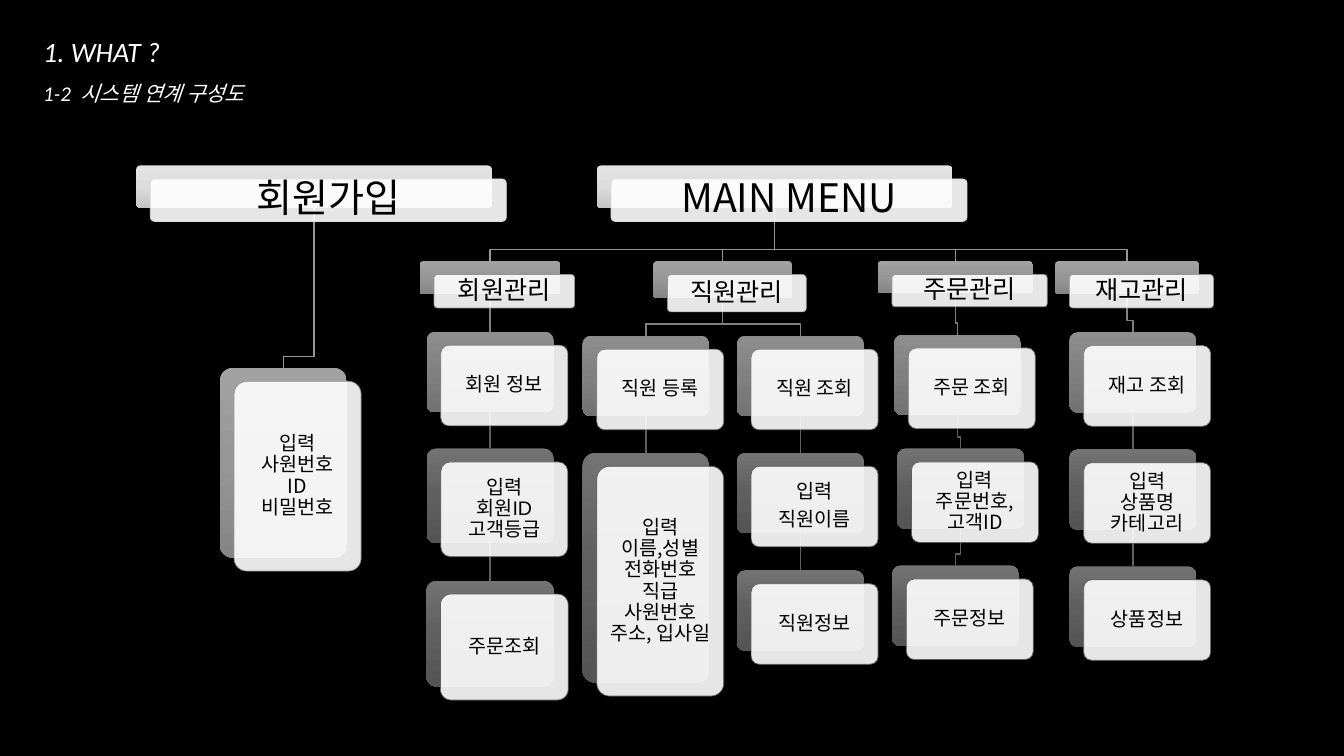
from copy import deepcopy
from dataclasses import dataclass

from lxml import etree
from pptx import Presentation
from pptx.dml.color import RGBColor
from pptx.enum.shapes import MSO_CONNECTOR, MSO_SHAPE
from pptx.enum.text import MSO_ANCHOR, PP_ALIGN
from pptx.oxml.ns import qn
from pptx.util import Cm, Pt

ROUNDED = MSO_SHAPE.ROUNDED_RECTANGLE
STRAIGHT = MSO_CONNECTOR.STRAIGHT
MIDDLE = MSO_ANCHOR.MIDDLE
CENTER = PP_ALIGN.CENTER

BLACK = RGBColor(0x00, 0x00, 0x00)
WHITE = RGBColor(0xFF, 0xFF, 0xFF)
SILVER = RGBColor(0xDD, 0xDD, 0xDD)
GRAY = RGBColor(0x96, 0x96, 0x96)
MID_GRAY = RGBColor(0x80, 0x80, 0x80)
DARK_GRAY = RGBColor(0x5F, 0x5F, 0x5F)

# Tree levels: gradient from top to bottom; the middle colour is also the line
LEVELS = [
    (RGBColor(0xE3, 0xE3, 0xE3), SILVER, RGBColor(0xC4, 0xC4, 0xC4)),
    (RGBColor(0xA2, 0xA2, 0xA2), GRAY, RGBColor(0x85, 0x85, 0x85)),
    (RGBColor(0x8E, 0x8E, 0x8E), MID_GRAY, RGBColor(0x72, 0x72, 0x72)),
    (RGBColor(0x73, 0x73, 0x73), DARK_GRAY, RGBColor(0x54, 0x54, 0x54)),
]
HEADING_SIZES = [28, 18]
LEAF_SIZE = 14
KOREAN = "Noto Sans CJK KR"
ARIAL = "Arial"
CALIBRI = "Calibri"


@dataclass
class Node:
    """A box of the tree, in centimetres; a blank line in text starts a paragraph."""
    text: str
    left: float
    top: float
    width: float = 3.2
    height: float = 2.03
    children: tuple = ()
    font: str = KOREAN

    @property
    def center(self):
        return self.left + self.width / 2

    @property
    def bottom(self):
        return self.top + self.height


class TreeSlide:
    SHIFT_X, SHIFT_Y = 0.36, 0.34
    ELBOW = 0.29

    def __init__(self, slide):
        self.slide = slide
        slide.background.fill.solid()
        slide.background.fill.fore_color.rgb = BLACK

    def run(self, paragraph, text, size, color, font, italic=None, spacing=None):
        run = paragraph.add_run()
        run.text = text
        run.font.size = Pt(size)
        run.font.color.rgb = color
        run.font.italic = italic
        run.font.name = font
        properties = run.font._element
        etree.SubElement(properties, qn("a:ea"), typeface=KOREAN)
        if spacing:
            properties.set("spc", str(spacing))

    def heading(self, left, top, width, height, lines):
        shape = self.slide.shapes.add_textbox(Cm(left), Cm(top), Cm(width), Cm(height))
        frame = shape.text_frame
        frame.word_wrap = True
        for index, (size, pieces) in enumerate(lines):
            paragraph = frame.add_paragraph() if index else frame.paragraphs[0]
            paragraph.line_spacing = 1.5
            for text, spacing in pieces:
                self.run(paragraph, text, size, WHITE, CALIBRI, True, spacing)

    def link(self, parent, child, color):
        start = Cm(parent.center), Cm(parent.bottom)
        end = Cm(child.center), Cm(child.top)
        if abs(parent.center - child.center) < 0.03:
            shape = self.slide.shapes.add_connector(STRAIGHT, *start, *end)
            etree.SubElement(shape._element.spPr, qn("a:effectLst"))
        else:
            elbow = Cm(child.top - self.ELBOW)
            builder = self.slide.shapes.build_freeform(*start)
            builder.add_line_segments([(start[0], elbow), (end[0], elbow), end], close=False)
            shape = builder.convert_to_shape()
            shape.fill.background()
            shape.shadow.inherit = False
        shape.line.color.rgb = color
        shape.line.width = Pt(1)

    def rounded(self, left, top, node):
        shape = self.slide.shapes.add_shape(
            ROUNDED, Cm(left), Cm(top), Cm(node.width), Cm(node.height))
        shape.adjustments[0] = 0.1
        shape.shadow.inherit = False
        return shape

    def backing(self, node, colors):
        shape = self.rounded(node.left, node.top, node)
        shape.line.fill.background()
        shape.fill.gradient()
        shape.fill.gradient_angle = 270
        stops = shape._element.spPr.find(".//" + qn("a:gsLst"))
        stops.insert(1, deepcopy(stops[0]))
        for stop, color, position in zip(shape.fill.gradient_stops, colors, (0, 0.5, 1)):
            stop.color.rgb = color
            stop.position = position

    def card(self, node, size, line_color):
        shape = self.rounded(node.left + self.SHIFT_X, node.top + self.SHIFT_Y, node)
        shape.fill.solid()
        shape.fill.fore_color.rgb = WHITE
        white = shape._element.spPr.find(qn("a:solidFill"))[0]
        etree.SubElement(white, qn("a:alpha"), val="90000")
        shape.line.color.rgb = line_color
        shape.line.width = Pt(0.5)
        frame = shape.text_frame
        frame.word_wrap = True
        frame.vertical_anchor = MIDDLE
        inset = Cm(size * 0.0105)
        frame.margin_left = frame.margin_right = inset
        frame.margin_top = frame.margin_bottom = inset
        for index, block in enumerate(node.text.split("\n\n")):
            paragraph = frame.add_paragraph() if index else frame.paragraphs[0]
            paragraph.alignment = CENTER
            paragraph.line_spacing = 0.9
            paragraph.space_after = Pt(size * 0.35)
            for number, text in enumerate(block.split("\n")):
                if number:
                    paragraph.add_line_break()
                self.run(paragraph, text, size, BLACK, node.font)

    def links(self, node, level=0):
        for child in node.children:
            self.links(child, level + 1)
            self.link(node, child, LEVELS[min(level + 1, 3)][1])

    def boxes(self, node, level=0):
        colors = LEVELS[min(level, 3)]
        is_heading = node.children and level < len(HEADING_SIZES)
        self.backing(node, colors)
        self.card(node, HEADING_SIZES[level] if is_heading else LEAF_SIZE, colors[1])
        for child in node.children:
            self.boxes(child, level + 1)


def chain(*nodes):
    """Hang each node under the one before it and return the first."""
    for parent, child in zip(nodes, nodes[1:]):
        parent.children = (child,)
    return nodes[0]


# Menu branches
SIGN_UP = chain(
    Node("회원가입", 3.43, 4.17, 8.97, 1.07),
    Node("입력\n사원번호\nID\n비밀번호", 5.54, 9.27, height=4.78))
MEMBERS = chain(
    Node("회원관리", 10.58, 6.58, 3.54, 0.84),
    Node("회원 정보", 10.75, 8.36, font=ARIAL),
    Node("입력\n회원ID\n고객등급", 10.75, 11.3, height=2.39, font=ARIAL),
    Node("주문조회", 10.74, 14.63, 3.22, 2.67, font=ARIAL))
STAFF = Node("직원관리", 16.46, 6.58, 3.5, 0.94, (
    chain(Node("직원 등록", 14.68, 8.46),
          Node("입력\n이름,성별\n전화번호\n직급\n사원번호\n주소, 입사일",
               14.68, 11.41, height=5.79)),
    chain(Node("직원 조회", 18.57, 8.46),
          Node("입력\n\n직원이름", 18.57, 11.41),
          Node("직원정보", 18.57, 14.37))))
ORDERS = chain(
    Node("주문관리", 22.12, 6.58, 3.91, 0.81),
    Node("주문 조회", 22.53, 8.43),
    Node("입력\n주문번호,\n고객ID", 22.61, 11.3),
    Node("주문정보", 22.48, 14.25))
STOCK = chain(
    Node("재고관리", 26.59, 6.58, 3.63, 0.84),
    Node("재고 조회", 26.95, 8.37),
    Node("입력\n상품명\n카테고리", 26.95, 11.32),
    Node("상품정보", 26.95, 14.27))
MAIN_MENU = Node("MAIN MENU", 15.04, 4.17, 8.97, 1.07, (MEMBERS, STAFF, ORDERS, STOCK))


def main():
    presentation = Presentation()
    presentation.slide_width, presentation.slide_height = Cm(33.87), Cm(19.05)
    tree = TreeSlide(presentation.slides.add_slide(presentation.slide_layouts[6]))

    # Lines lie behind the boxes
    for root in (SIGN_UP, MAIN_MENU):
        tree.links(root)
    for root in (SIGN_UP, MAIN_MENU):
        tree.boxes(root)

    # Slide heading
    tree.heading(0.84, 0.33, 14.4, 2.49, [
        (20, [("1. WHAT ?", None)]),
        (15, [("1-2", None), (" ", 340), ("시스템 연계 구성도", None)])])
    presentation.save("out.pptx")


if __name__ == "__main__":
    main()
